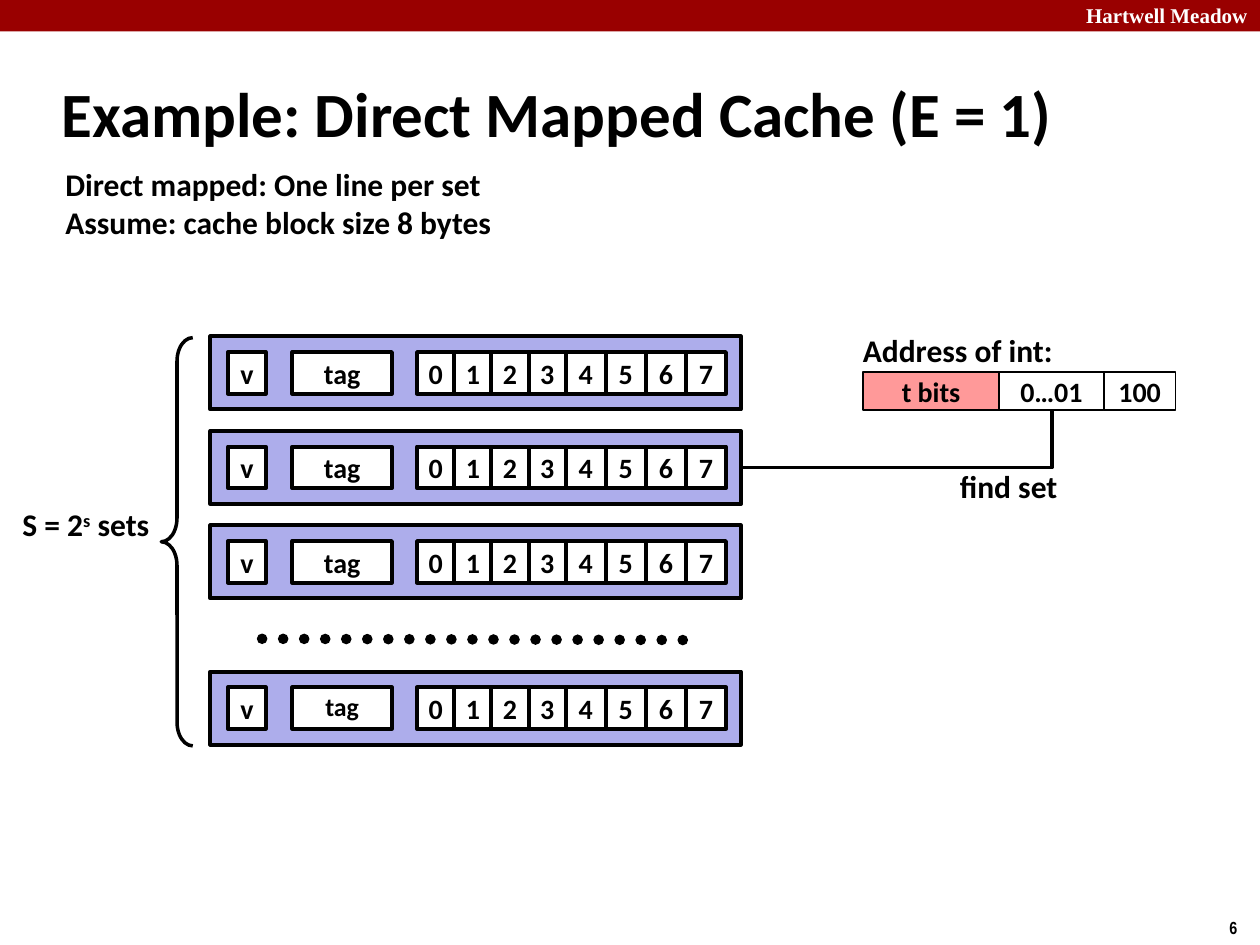
from dataclasses import dataclass
from itertools import accumulate

from pptx import Presentation
from pptx import util as u
from pptx.dml.color import RGBColor
from pptx.enum import dml, shapes, text
from pptx.oxml import ns, xmlchemy

COLUMNS, ROWS = 100, 75


@dataclass(frozen=True)
class Theme:
    """Colours, fonts and type sizes of the slide."""
    ink: str = "000000"
    paper: str = "FFFFFF"
    banner: str = "990000"
    cache_set: str = "ADADEB"
    tag: str = "FF9999"
    body_font: str = "Calibri"
    banner_font: str = "Times New Roman"
    number_font: str = "Arial Narrow"
    title: float = 36
    label: float = 18
    cell: float = 16
    small_cell: float = 14.8
    banner_size: float = 12
    number: float = 10


THEME = Theme()


def write(shape, content, size=THEME.label, font=THEME.body_font, color=THEME.ink,
          align=text.PP_ALIGN.LEFT, anchor=text.MSO_ANCHOR.TOP, wrap=False,
          margin=None, spacing=None):
    """Put text in a shape; newlines split paragraphs, carets enclose superscripts."""
    frame = shape.text_frame
    frame.word_wrap = wrap
    frame.vertical_anchor = anchor
    if margin is not None:
        frame.margin_left = frame.margin_right = u.Inches(margin)
        frame.margin_top = frame.margin_bottom = u.Inches(margin)
    for index, line in enumerate(content.split("\n")):
        paragraph = frame.add_paragraph() if index else frame.paragraphs[0]
        paragraph.alignment = align
        paragraph.line_spacing = spacing
        for part, words in enumerate(line.split("^")):
            run = paragraph.add_run()
            run.text = words
            run.font.size = u.Pt(size)
            run.font.name = font
            run.font.bold = True
            run.font.color.rgb = RGBColor.from_string(color)
            if part % 2:
                run.font._element.set("baseline", "30000")


class SlideBuilder:
    """Draws styled elements on one slide, with lengths in grid columns and rows."""

    def __init__(self, presentation, theme):
        """Add a blank slide and find the size of a grid unit."""
        self.theme = theme
        self.slide = presentation.slides.add_slide(presentation.slide_layouts[6])
        self.column = presentation.slide_width / COLUMNS
        self.row = presentation.slide_height / ROWS

    def place(self, *lengths):
        """Turn alternating columns and rows into slide lengths."""
        units = (self.column, self.row)
        return [round(length * units[i % 2]) for i, length in enumerate(lengths)]

    def shape(self, kind, area, fill=None, line=None):
        """Add a preset shape."""
        shape = self.slide.shapes.add_shape(kind, *self.place(*area))
        shape.shadow.inherit = False
        if fill:
            shape.fill.solid()
            shape.fill.fore_color.rgb = RGBColor.from_string(fill)
        else:
            shape.fill.background()
        if line:
            shape.line.color.rgb = RGBColor.from_string(self.theme.ink)
            shape.line.width = u.Pt(line)
        else:
            shape.line.fill.background()
        return shape

    def box(self, area, fill, line=None):
        """Add a rectangle."""
        return self.shape(shapes.MSO_SHAPE.RECTANGLE, area, fill, line)

    def cell(self, area, content, fill=THEME.paper, line=2.25, **style):
        """Add a rectangle with centred text."""
        style = {"size": self.theme.cell, **style}
        write(self.box(area, fill, line), content, align=text.PP_ALIGN.CENTER,
              anchor=text.MSO_ANCHOR.MIDDLE, margin=0, **style)

    def label(self, area, content, **style):
        """Add a text box."""
        write(self.slide.shapes.add_textbox(*self.place(*area)), content, **style)

    def brace(self, area):
        """Add a left brace."""
        brace = self.shape(shapes.MSO_SHAPE.LEFT_BRACE, area, line=2)
        brace.adjustments[0] = 0.75

    def connector(self, start, end, width):
        """Add a straight line."""
        line = self.slide.shapes.add_connector(
            shapes.MSO_CONNECTOR.STRAIGHT, *self.place(*start, *end))
        line.line.color.rgb = RGBColor.from_string(self.theme.ink)
        line.line.width = u.Pt(width)
        line._element.spPr.append(xmlchemy.OxmlElement("a:effectLst"))
        return line

    def dots(self, start, end, width):
        """Add a line of round dots."""
        line = self.connector(start, end, width)
        line.line.dash_style = dml.MSO_LINE.ROUND_DOT
        line.line._ln.set("cap", "rnd")

    def elbow(self, start, end, width):
        """Add a line that runs down from start, then left to end."""
        middle_x, middle_y = [(a + b) / 2 for a, b in zip(start, end)]
        half_width, half_height = (end[1] - start[1]) / 2, (start[0] - end[0]) / 2
        line = self.connector((middle_x - half_width, middle_y - half_height),
                              (middle_x + half_width, middle_y + half_height), width)
        properties = line._element.spPr
        properties.find(ns.qn("a:xfrm")).set("rot", "5400000")
        properties.find(ns.qn("a:prstGeom")).set("prst", "bentConnector2")

    def cache_set(self, top, **tag_style):
        """Add one set with its valid bit, tag and eight bytes."""
        inner, height = top + 1.25, 3.3
        self.box((16.7, top, 42.1, 5.8), self.theme.cache_set, 2.25)
        self.cell((18.1, inner, 3, height), "v")
        self.cell((23.2, inner, 7.9, height), "tag", **tag_style)
        widths = [2.95] * 4 + [3.18] * 4
        for byte, (left, width) in enumerate(zip(accumulate(widths, initial=33.1), widths)):
            self.cell((left, inner, width, height), str(byte))


def main():
    """Build and save the slide."""
    presentation = Presentation()
    presentation.slide_width, presentation.slide_height = u.Inches(10), u.Inches(7.5)
    builder = SlideBuilder(presentation, THEME)

    builder.box((0, 0, COLUMNS, 2.5), THEME.banner)
    builder.label((80, -0.3, 20, 3), "Hartwell Meadow", size=THEME.banner_size,
                  font=THEME.banner_font, color=THEME.paper,
                  align=text.PP_ALIGN.RIGHT, wrap=True)
    builder.label((96.6, 72.3, 3.4, 2.7), "6", size=THEME.number, font=THEME.number_font)
    builder.label((3.9, 4.8, 83, 8.3), "Example: Direct Mapped Cache (E = 1)",
                  size=THEME.title, anchor=text.MSO_ANCHOR.MIDDLE, wrap=True)
    builder.label((4.2, 12.6, 36.1, 7.1),
                  "Direct mapped: One line per set\nAssume: cache block size 8 bytes")

    builder.brace((12.8, 26.8, 2.5, 32.4))
    builder.label((0.8, 39.6, 12.3, 4), "S = 2^s^ sets")
    for index in range(3):
        builder.cache_set(26.7 + 7.5 * index)
    builder.dots((20.8, 50.7), (55, 50.8), 6)
    builder.cache_set(53.3, size=THEME.small_cell, spacing=0.9)

    builder.label((67.5, 25.8, 17.2, 4), "Address of int:")
    fields = [("t bits", 10.8, THEME.tag), ("0…01", 8.3, THEME.paper),
              ("100", 5.7, THEME.paper)]
    lefts = accumulate((width for _, width, _ in fields), initial=68.5)
    for left, (content, width, fill) in zip(lefts, fields):
        builder.cell((left, 29.55, width, 3), content, fill, line=1)
    builder.elbow((83.5, 32.5), (58.8, 37.1), 2)
    builder.label((75.2, 36.6, 9.8, 4), "find set")

    presentation.save("out.pptx")


if __name__ == "__main__":
    main()
